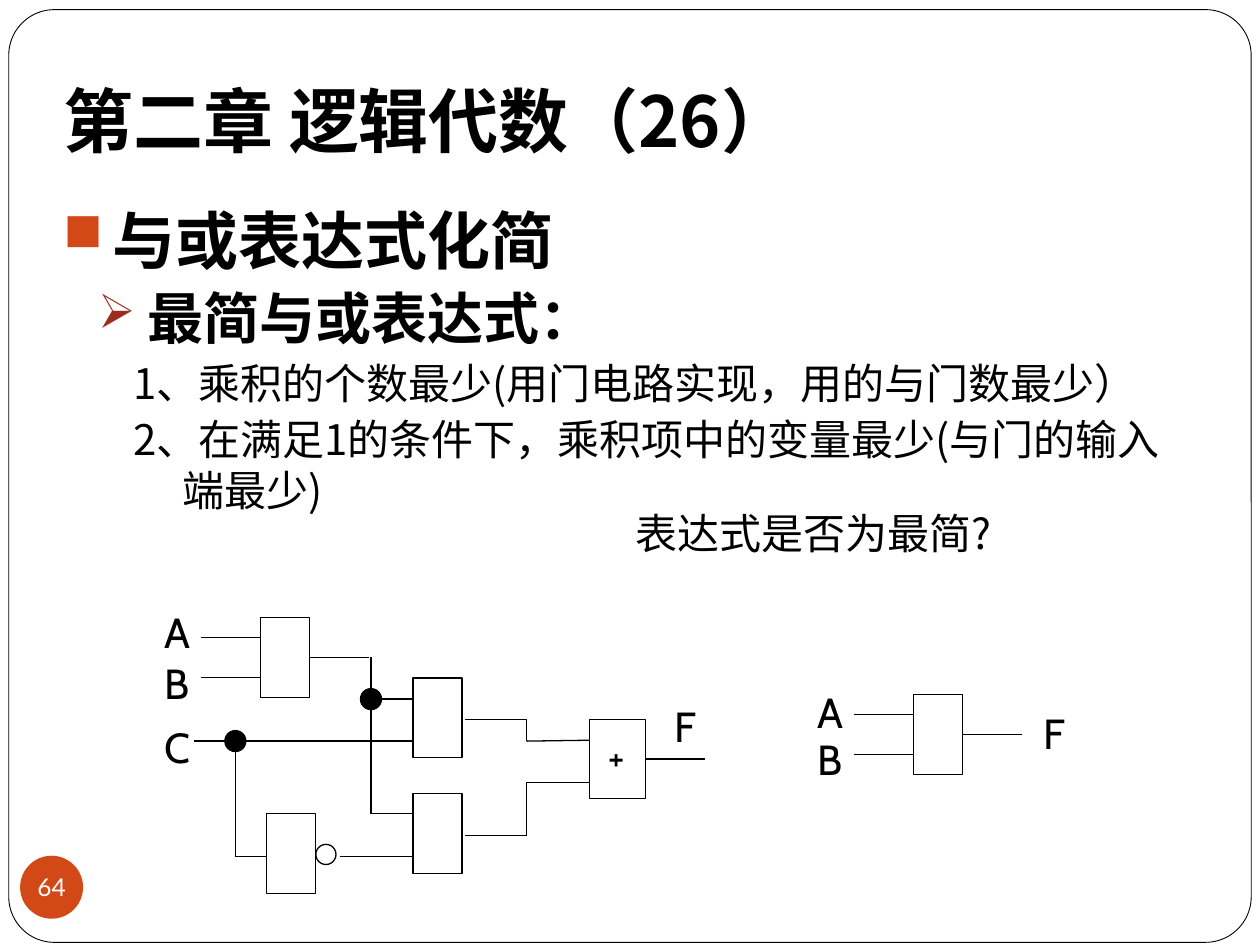
from lxml import etree
from pptx import Presentation
from pptx.dml.color import RGBColor
from pptx.enum.shapes import MSO_CONNECTOR, MSO_SHAPE
from pptx.enum.text import MSO_ANCHOR, PP_ALIGN
from pptx.oxml.ns import qn
from pptx.util import Pt

COLORS = {"ink": "000000", "paper": "FFFFFF", "accent": "D34817", "arrow": "9B2D1F"}
CJK, LABEL, NUMBER = "Noto Sans CJK JP", "Cabin", "Lato"
GATE_W, GATE_H, LEAD = 28, 45.5, 34
INPUT_YS = (11.25, 34.25)
LABEL_W, LABEL_H = 28, 37


def rgb(name):
    return RGBColor.from_string(COLORS[name])


def style(paragraph, size, font, color="ink", bold=False):
    for run in paragraph.runs:
        run.font.size = Pt(size)
        run.font.name = font
        run.font.bold = bold
        run.font.color.rgb = rgb(color)
        etree.SubElement(run.font._element, qn("a:ea"), typeface=font)


def add_text(shapes, x, y, width, height, text, size, font):
    box = shapes.add_textbox(Pt(x), Pt(y), Pt(width), Pt(height))
    box.text_frame.word_wrap = True
    box.text_frame.text = text
    style(box.text_frame.paragraphs[0], size, font)
    return box


def add_outline(shapes, kind, x, y, width, height, fill=None, line="ink", weight=0.75):
    shape = shapes.add_shape(kind, Pt(x), Pt(y), Pt(width), Pt(height))
    shape.shadow.inherit = False
    if fill:
        shape.fill.solid()
        shape.fill.fore_color.rgb = rgb(fill)
    else:
        shape.fill.background()
    if line:
        shape.line.color.rgb = rgb(line)
        shape.line.width = Pt(weight)
    else:
        shape.line.fill.background()
    return shape


def add_wire(shapes, *points):
    for start, end in zip(points, points[1:]):
        wire = shapes.add_connector(MSO_CONNECTOR.STRAIGHT, *map(Pt, start + end))
        wire.line.color.rgb = rgb("ink")
        wire.line.width = Pt(0.75)
        etree.SubElement(wire._element.spPr, qn("a:effectLst"))
    return wire


def add_gate(shapes, x, y, width=GATE_W, inputs=False, output=False):
    gate = add_outline(shapes, MSO_SHAPE.RECTANGLE, x, y, width, GATE_H)
    if inputs:
        for dy in INPUT_YS:
            add_wire(shapes, (x - LEAD, y + dy), (x, y + dy))
    if output:
        middle, right = y + GATE_H / 2, x + width
        add_wire(shapes, (right, middle), (right + LEAD, middle)).begin_connect(gate, 3)


def add_labels(shapes, left, top, labels):
    for text, x, y in labels:
        add_text(shapes, left + x, top + y, LABEL_W, LABEL_H, text, 24, LABEL)


def add_frame(slide, left, top, width, height):
    frame = add_outline(slide.shapes, MSO_SHAPE.ROUNDED_RECTANGLE, left, top, width, height,
                        "paper", weight=0.5)
    frame.adjustments[0] = 0.049
    slide.shapes._spTree.insert(2, frame._element)


def add_title(slide, left, top, width, height):
    title = slide.shapes.title
    title.left, title.top, title.width, title.height = map(Pt, (left, top, width, height))
    frame = title.text_frame
    frame.vertical_anchor = MSO_ANCHOR.BOTTOM
    frame.margin_bottom = Pt(7.2)
    frame.text = "第二章 逻辑代数（26）"
    frame.paragraphs[0].alignment = PP_ALIGN.LEFT
    style(frame.paragraphs[0], 40, CJK, bold=True)


def add_page_number(slide, left, top, size):
    badge = add_outline(slide.shapes, MSO_SHAPE.OVAL, left, top, size, size, "accent", None)
    frame = badge.text_frame
    frame.margin_left = frame.margin_top = frame.margin_right = frame.margin_bottom = 0
    frame.word_wrap = False
    frame.vertical_anchor = MSO_ANCHOR.MIDDLE
    frame.text = "64"
    frame.paragraphs[0].alignment = PP_ALIGN.CENTER
    style(frame.paragraphs[0], 14, NUMBER, "paper")


def add_indent(paragraph, margin, hanging=0, bullet=None, color=None):
    properties = paragraph._p.get_or_add_pPr()
    properties.set("marL", str(Pt(margin)))
    properties.set("indent", str(-Pt(hanging)))
    if bullet:
        bullet_color = etree.SubElement(properties, qn("a:buClr"))
        etree.SubElement(bullet_color, qn("a:srgbClr"), val=COLORS[color])
        etree.SubElement(properties, qn("a:buSzPct"), val="85000")
        etree.SubElement(properties, qn("a:buChar"), char=bullet)


def add_body(slide, left, top, width, height):
    rows = [
        ("与或表达式化简", 0, 28, 36, True, "■", "accent"),
        ("最简与或表达式：", 1, 48, 32, True, "➢", "arrow"),
        ("1、乘积的个数最少(用门电路实现，用的与门数最少）", 2, 68, 24, False, None, None),
        ("2、在满足1的条件下，乘积项中的变量最少(与门的输入端最少)", 2, 68, 24, False, None, None),
    ]
    box = slide.shapes.add_textbox(Pt(left), Pt(top), Pt(width), Pt(height))
    frame = box.text_frame
    frame.word_wrap = True
    for index, (text, level, margin, size, bold, bullet, color) in enumerate(rows):
        paragraph = frame.add_paragraph() if index else frame.paragraphs[0]
        paragraph.text = text
        paragraph.level = level
        add_indent(paragraph, margin, 28, bullet, color)
        if index:
            paragraph.space_before = Pt(3.7)
        style(paragraph, size, CJK, bold=bold)


def add_question(slide, left, top, width, height):
    box = add_text(slide.shapes, left, top, width, height, "表达式是否为最简?", 24, CJK)
    add_indent(box.text_frame.paragraphs[0], 38)


def add_full_circuit(slide, left, top):
    shapes = slide.shapes.add_group_shape().shapes
    add_gate(shapes, left + 62, top + 10, inputs=True, output=True)
    for x, y in [(149, 44.5), (149, 110.5), (65.5, 122)]:
        add_gate(shapes, left + x, top + y)
    add_gate(shapes, left + 250, top + 68, 32, output=True)
    add_outline(shapes, MSO_SHAPE.OVAL, left + 93.5, top + 139.5, 11.5, 11.5)
    routes = [
        [(125, 32.5), (125, 122), (149, 122)],
        [(125, 56.5), (149, 56.5)],
        [(24, 80.5), (149, 80.5)],
        [(47.5, 80.5), (47.5, 146.5), (65.5, 146.5)],
        [(107.5, 146.5), (149, 146.5)],
        [(178.5, 68), (214, 68), (214, 80.5), (250, 80)],
        [(178.5, 134.5), (214, 134.5), (214, 104), (250, 104)],
    ]
    for route in routes:
        add_wire(shapes, *[(left + x, top + y) for x, y in route])
    for x, y in [(47.5, 80.5), (125, 56.5)]:
        add_outline(shapes, MSO_SHAPE.OVAL, left + x - 6, top + y - 6, 12, 12, "ink")
    add_labels(shapes, left, top, [("A", 0, 0), ("B", 0, 29), ("C", 0, 66), ("F", 291.5, 54)])
    add_text(shapes, left + 253.5, top + 74, 28, 32, "+", 20, LABEL)


def add_simple_circuit(slide, left, top):
    shapes = slide.shapes.add_group_shape().shapes
    add_gate(shapes, left + 62, top + 8, inputs=True, output=True)
    add_labels(shapes, left, top, [("A", 0, 0), ("B", 0, 26.5), ("F", 129, 11.5)])


def main():
    presentation = Presentation()
    presentation.slide_width, presentation.slide_height = Pt(720), Pt(540)
    slide = presentation.slides.add_slide(presentation.slide_layouts[5])
    add_frame(slide, 5, 5.5, 710, 533)
    add_title(slide, 29, 21.5, 612, 78)
    add_page_number(slide, 11.5, 489, 36)
    add_body(slide, 29, 111.5, 660, 363)
    add_question(slide, 318, 286.5, 314, 36)
    add_full_circuit(slide, 87, 343)
    add_simple_circuit(slide, 460, 389)
    presentation.save("out.pptx")


if __name__ == "__main__":
    main()
